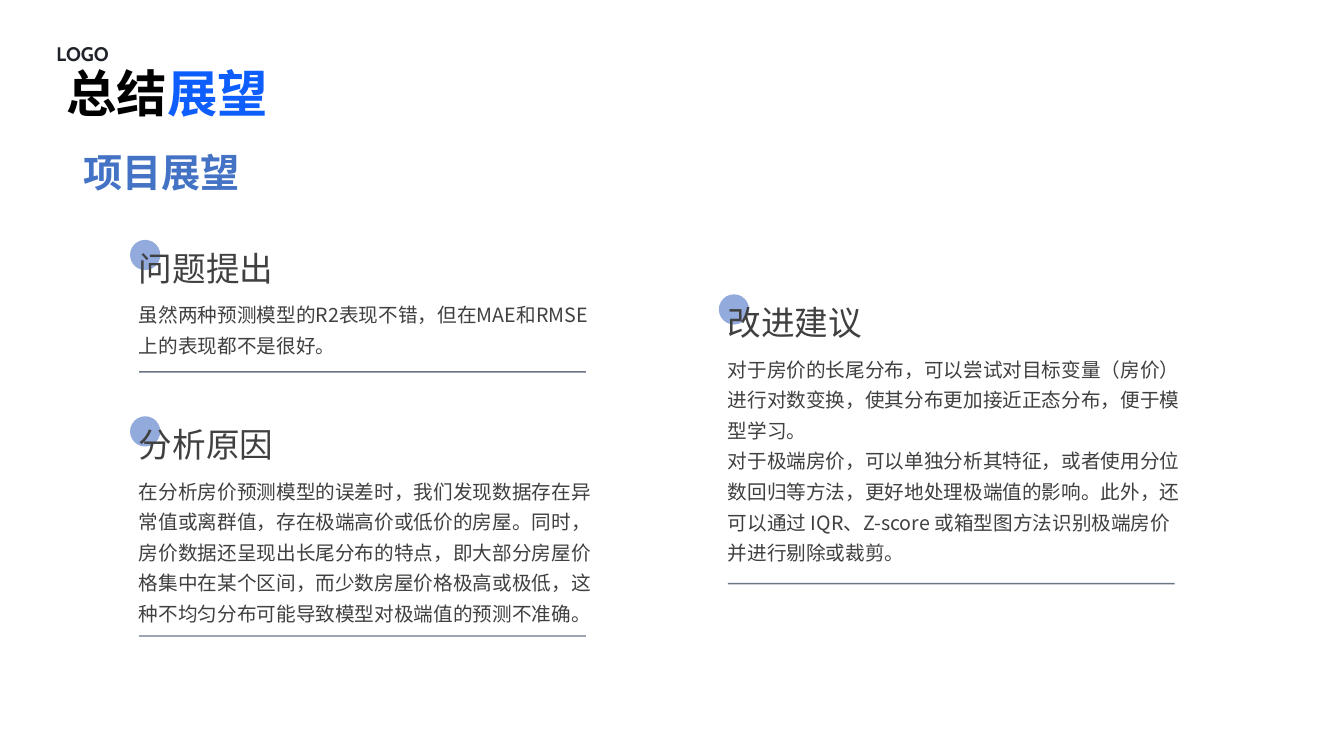
from dataclasses import dataclass

from lxml import etree
from pptx import Presentation
from pptx.dml.color import RGBColor
from pptx.enum.shapes import MSO_CONNECTOR, MSO_SHAPE
from pptx.enum.text import MSO_ANCHOR, MSO_AUTO_SIZE
from pptx.oxml.ns import qn
from pptx.slide import Slide
from pptx.text.text import TextFrame
from pptx.util import Inches, Pt

STRAIGHT = MSO_CONNECTOR.STRAIGHT
OVAL = MSO_SHAPE.OVAL
TOP = MSO_ANCHOR.TOP
MIDDLE = MSO_ANCHOR.MIDDLE
GROW = MSO_AUTO_SIZE.SHAPE_TO_FIT_TEXT
FIXED = MSO_AUTO_SIZE.NONE

CHINESE_FONT = "Noto Sans CJK SC"
TEXT_COLOR = "404040"
DOT_COLOR = "93AADC"
RULE_COLOR = "485368"
RULE_OPACITY = 80


@dataclass(frozen=True)
class Style:
    font: str
    size: int
    color: str
    bold: bool = False
    line_spacing: float = 1.0


@dataclass(frozen=True)
class Box:
    left: float
    top: float
    width: float
    height: float


@dataclass(frozen=True)
class Section:
    left: float
    top: float
    body_height: float
    rule_top: float
    heading: str
    paragraphs: list[str]


LOGO_STYLE = Style("Cabin", 14, "1F2329", True)
TITLE_STYLE = Style("Arial", 36, "000000", True, 1.13)
SUBTITLE_STYLE = Style("Arial", 28, "4472C4", True)
HEADING_STYLE = Style(CHINESE_FONT, 24, TEXT_COLOR)
BODY_STYLE = Style(CHINESE_FONT, 14, TEXT_COLOR, line_spacing=1.3)

SECTIONS = [
    Section(1.28, 2.41, 0.68, 3.69, "问题提出", [
        "虽然两种预测模型的R2表现不错，但在MAE和RMSE上的表现都不是很好。",
    ]),
    Section(1.28, 4.16, 1.6, 6.31, "分析原因", [
        "在分析房价预测模型的误差时，我们发现数据存在异常值或离群值，"
        "存在极端高价或低价的房屋。同时，房价数据还呈现出长尾分布的特点，"
        "即大部分房屋价格集中在某个区间，而少数房屋价格极高或极低，"
        "这种不均匀分布可能导致模型对极端值的预测不准确。",
    ]),
    Section(7.12, 2.95, 2.21, 5.79, "改进建议", [
        "对于房价的长尾分布，可以尝试对目标变量（房价）进行对数变换，"
        "使其分布更加接近正态分布，便于模型学习。",
        "对于极端房价，可以单独分析其特征，或者使用分位数回归等方法，"
        "更好地处理极端值的影响。此外，还可以通过 IQR、Z-score "
        "或箱型图方法识别极端房价并进行剔除或裁剪。",
    ]),
]


def rgb(color: str) -> RGBColor:
    return RGBColor.from_string(color)


def format_text(text_frame: TextFrame, style: Style) -> None:
    for paragraph in text_frame.paragraphs:
        paragraph.line_spacing = style.line_spacing
        for run in paragraph.runs:
            run.font.name = style.font
            run.font.size = Pt(style.size)
            run.font.bold = style.bold
            run.font.color.rgb = rgb(style.color)
            east_asian = etree.SubElement(run._r.get_or_add_rPr(), qn("a:ea"))
            east_asian.set("typeface", CHINESE_FONT)


def add_text(slide: Slide, box: Box, paragraphs: list[str], style: Style,
             padding: float | None = None, anchor: MSO_ANCHOR = TOP) -> TextFrame:
    shape = slide.shapes.add_textbox(Inches(box.left), Inches(box.top),
                                     Inches(box.width), Inches(box.height))
    text_frame = shape.text_frame
    text_frame.word_wrap = True
    text_frame.auto_size = GROW if padding is None else FIXED
    text_frame.vertical_anchor = anchor
    if padding is not None:
        text_frame.margin_left = text_frame.margin_right = Inches(padding)
        text_frame.margin_top = text_frame.margin_bottom = Inches(padding)
    text_frame.text = "\n".join(paragraphs)
    format_text(text_frame, style)
    return text_frame


def add_dot(slide: Slide, left: float, top: float) -> None:
    dot = slide.shapes.add_shape(OVAL, Inches(left), Inches(top), Inches(0.3), Inches(0.3))
    dot.shadow.inherit = False
    dot.fill.solid()
    dot.fill.fore_color.rgb = rgb(DOT_COLOR)
    dot.line.fill.background()


def add_rule(slide: Slide, left: float, top: float) -> None:
    rule = slide.shapes.add_connector(STRAIGHT, Inches(left + 4.43), Inches(top),
                                      Inches(left), Inches(top))
    rule.line.width = Pt(1)
    rule.line.color.rgb = rgb(RULE_COLOR)
    properties = rule._element.spPr
    color = properties.find(".//" + qn("a:srgbClr"))
    etree.SubElement(color, qn("a:alpha")).set("val", str(RULE_OPACITY * 1000))
    etree.SubElement(properties, qn("a:effectLst"))


def add_section(slide: Slide, section: Section) -> None:
    left, top = section.left, section.top
    add_text(slide, Box(left, top + 0.48, 4.76, section.body_height),
             section.paragraphs, BODY_STYLE)
    add_dot(slide, left + 0.01, top - 0.03)
    add_text(slide, Box(left, top, 2.44, 0.5), [section.heading], HEADING_STYLE)
    add_rule(slide, left + 0.1, section.rule_top)


def main() -> None:
    presentation = Presentation()
    presentation.slide_width = Inches(13.33)
    presentation.slide_height = Inches(7.5)
    slide = presentation.slides.add_slide(presentation.slide_layouts[6])

    # Header
    add_text(slide, Box(0.42, 0.25, 0.86, 0.57), ["LOGO"], LOGO_STYLE, 0.14, MIDDLE)
    title = add_text(slide, Box(0.52, 0.4, 5.59, 0.96), ["总结"], TITLE_STYLE, 0.14)
    title.paragraphs[0].add_run().text = "展望"
    format_text(title, TITLE_STYLE)
    title.paragraphs[0].runs[1].font.color.rgb = rgb("0E5EFD")
    add_text(slide, Box(0.73, 1.42, 3.96, 0.57), ["项目展望"], SUBTITLE_STYLE)

    # Sections
    for section in SECTIONS:
        add_section(slide, section)

    presentation.save("out.pptx")


if __name__ == "__main__":
    main()
